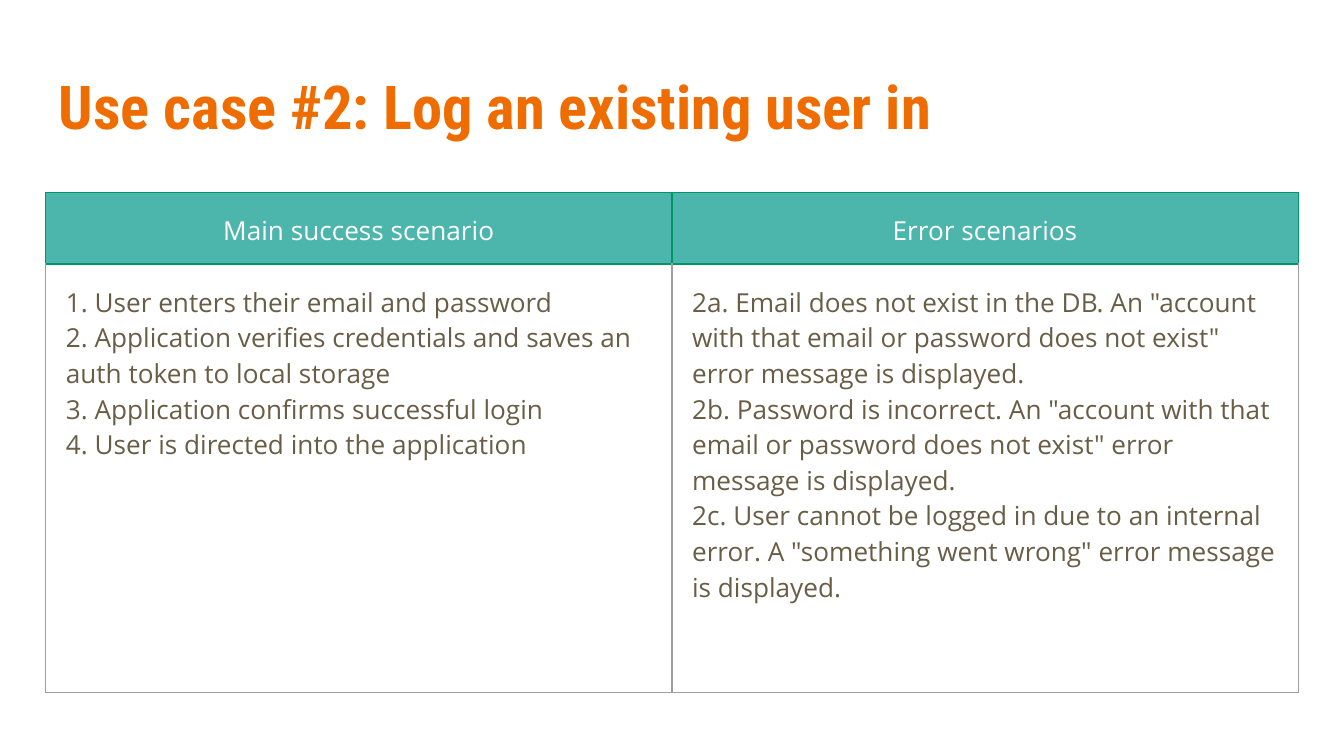
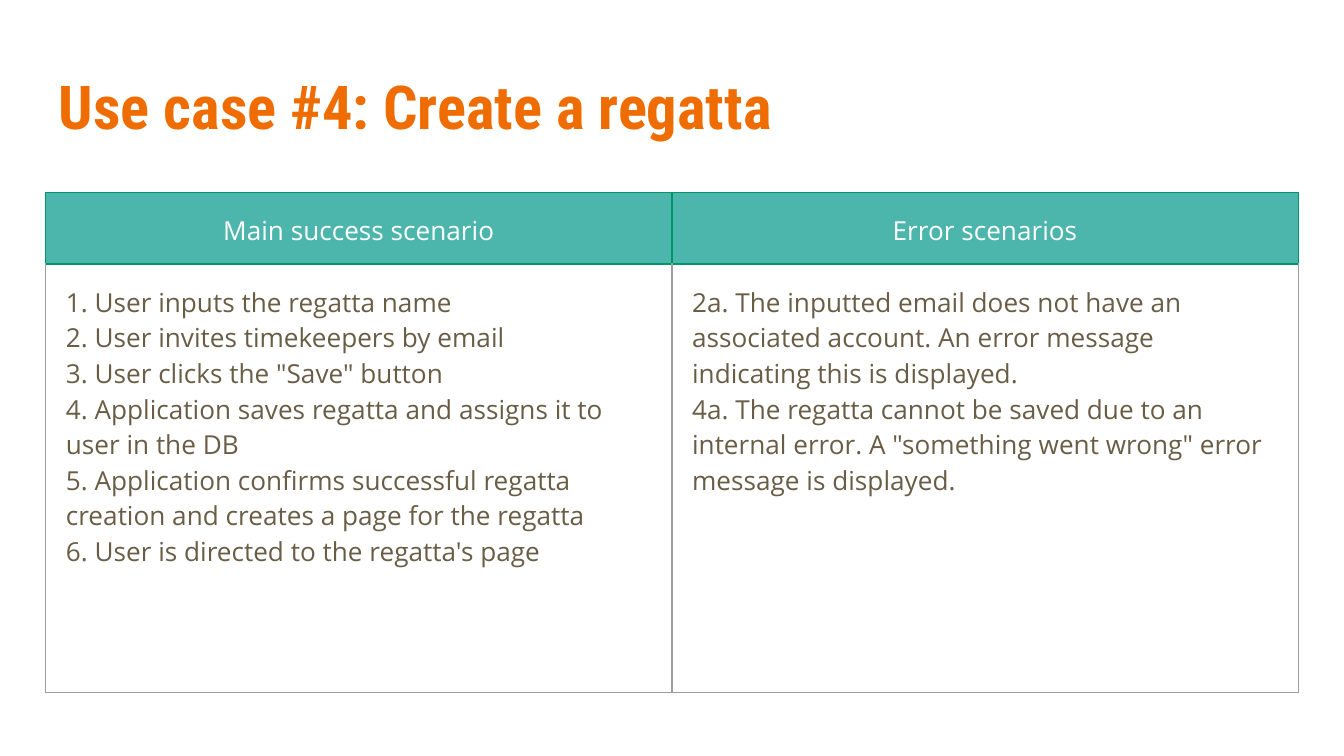
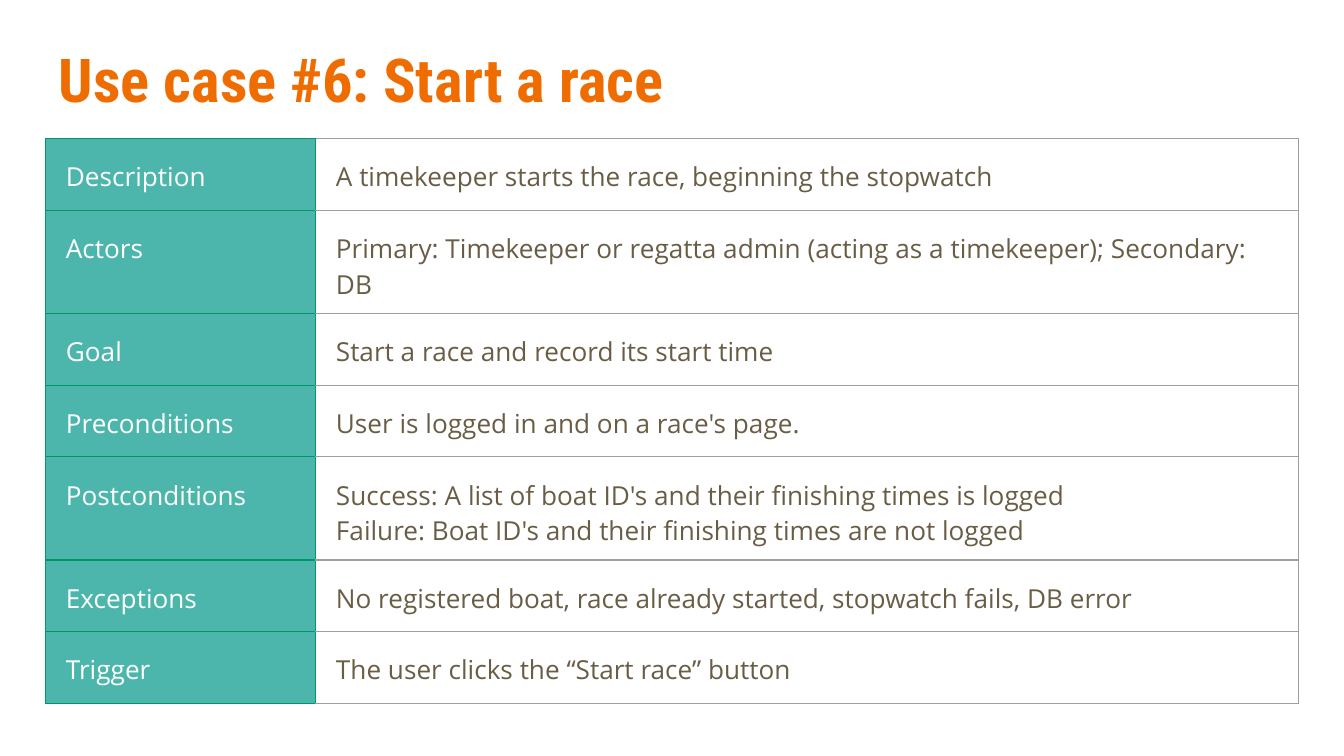
from lxml.etree import SubElement
from pptx import Presentation
from pptx.dml.color import RGBColor
from pptx.enum.text import MSO_ANCHOR, PP_ALIGN
from pptx.oxml.ns import qn
from pptx.util import Pt

ORANGE = RGBColor(0xEF, 0x6C, 0x00)
TEAL = RGBColor(0x4D, 0xB6, 0xAC)
GREEN = RGBColor(0x00, 0x96, 0x68)
GRAY = RGBColor(0x9E, 0x9E, 0x9E)
BROWN = RGBColor(0x69, 0x5D, 0x46)
WHITE = RGBColor(0xFF, 0xFF, 0xFF)

LEFT, WIDTH = 24.5, 671
SIDES = ("left", "right", "top", "bottom")
TITLE = {"name": "Roboto Condensed", "size": Pt(32.4), "bold": True}
BODY = {"name": "Open Sans", "size": Pt(14), "bold": False}
FRAME = {"word_wrap": True, "vertical_anchor": MSO_ANCHOR.MIDDLE}
PLAIN = {"first_row": False, "horz_banding": False}

LOGIN = (
    [
        "1. User enters their email and password",
        "2. Application verifies credentials and saves an auth token to local storage",
        "3. Application confirms successful login",
        "4. User is directed into the application",
    ],
    [
        '2a. Email does not exist in the DB. An "account with that email or '
        'password does not exist" error message is displayed.',
        '2b. Password is incorrect. An "account with that email or password '
        'does not exist" error message is displayed.',
        '2c. User cannot be logged in due to an internal error. A "something '
        'went wrong" error message is displayed.',
    ],
)
CREATE = (
    [
        "1. User inputs the regatta name",
        "2. User invites timekeepers by email",
        '3. User clicks the "Save" button',
        "4. Application saves regatta and assigns it to user in the DB",
        "5. Application confirms successful regatta creation and creates a page "
        "for the regatta",
        "6. User is directed to the regatta's page",
    ],
    [
        "2a. The inputted email does not have an associated account. An error "
        "message indicating this is displayed.",
        '4a. The regatta cannot be saved due to an internal error. A "something '
        'went wrong" error message is displayed.',
    ],
)
RACE = {
    "Description": ["A timekeeper starts the race, beginning the stopwatch"],
    "Actors": [
        "Primary: Timekeeper or regatta admin (acting as a timekeeper); Secondary: DB"
    ],
    "Goal": ["Start a race and record its start time"],
    "Preconditions": ["User is logged in and on a race's page."],
    "Postconditions": [
        "Success: A list of boat ID's and their finishing times is logged",
        "Failure: Boat ID's and their finishing times are not logged",
    ],
    "Exceptions": [
        "No registered boat, race already started, stopwatch fails, DB error"
    ],
    "Trigger": ["The user clicks the “Start race” button"],
}


def apply(item, style):
    """Set every attribute named in the style."""
    for key, value in style.items():
        setattr(item, key, value)


def write(frame, lines, style, color, align=PP_ALIGN.LEFT):
    """Write one styled paragraph per line."""
    for i, line in enumerate(lines):
        para = frame.add_paragraph() if i else frame.paragraphs[0]
        para.alignment = align
        run = para.add_run()
        run.text = line
        apply(run.font, style)
        run.font.color.rgb = color


def add_title(slide, text, top):
    """Add the orange slide title."""
    box = slide.shapes.add_textbox(Pt(LEFT), Pt(top), Pt(WIDTH), Pt(55.4))
    frame = box.text_frame
    apply(frame, FRAME | {f"margin_{side}": Pt(7.2) for side in SIDES})
    write(frame, [text], TITLE, ORANGE)


def edge(cell, colors):
    """Draw the four borders of a cell."""
    props = cell._tc.get_or_add_tcPr()
    for side in SIDES:
        line = SubElement(props, qn(f"a:ln{side[0].upper()}"), w=str(Pt(0.75)))
        fill = SubElement(line, qn("a:solidFill"))
        SubElement(fill, qn("a:srgbClr"), val=str(colors[side]))


def fill_cell(cell, lines, head, joint, align):
    """Fill a head or body cell; joint is the body side that meets the head."""
    apply(cell, {f"margin_{side}": Pt(10.8) for side in SIDES})
    edge(cell, {side: GREEN if head or side == joint else GRAY for side in SIDES})
    if head:
        cell.fill.solid()
        cell.fill.fore_color.rgb = TEAL
        write(cell.text_frame, lines, BODY, WHITE, align)
    else:
        cell.fill.background()
        write(cell.text_frame, lines, BODY, BROWN)


def add_grid(slide, top, cols, rows, cells, joint, align=PP_ALIGN.LEFT):
    """Add a table whose heads are its first row or first column."""
    table = slide.shapes.add_table(
        len(rows), len(cols), Pt(LEFT), Pt(top), Pt(sum(cols)), Pt(sum(rows))
    ).table
    apply(table, PLAIN)
    for col, width in zip(table.columns, cols):
        col.width = Pt(width)
    for row, height in zip(table.rows, rows):
        row.height = Pt(height)
    for i, line in enumerate(cells):
        for j, lines in enumerate(line):
            head = (i if joint == "top" else j) == 0
            fill_cell(table.cell(i, j), lines, head, joint, align)


def add_paths(slide, title, paths):
    """Add a slide of success and error scenarios."""
    heads = (["Main success scenario"], ["Error scenarios"])
    add_title(slide, title, 28.8)
    add_grid(slide, 103, [WIDTH / 2] * 2, [28.8, 229.7], [heads, paths],
             "top", PP_ALIGN.CENTER)


def add_facts(slide, title, facts):
    """Add a slide of labelled facts."""
    cells = [([name], lines) for name, lines in facts.items()]
    add_title(slide, title, 14.4)
    add_grid(slide, 74.2, [144.7, WIDTH - 144.7], [30.2] * len(cells), cells, "left")


def main():
    """Build and save the deck."""
    deck = Presentation()
    apply(deck, {"slide_width": Pt(720), "slide_height": Pt(405)})
    pages = (
        (add_paths, "Use case #2: Log an existing user in", LOGIN),
        (add_paths, "Use case #4: Create a regatta", CREATE),
        (add_facts, "Use case #6: Start a race", RACE),
    )
    for build, title, data in pages:
        build(deck.slides.add_slide(deck.slide_layouts[6]), title, data)
    deck.save("out.pptx")


if __name__ == "__main__":
    main()
